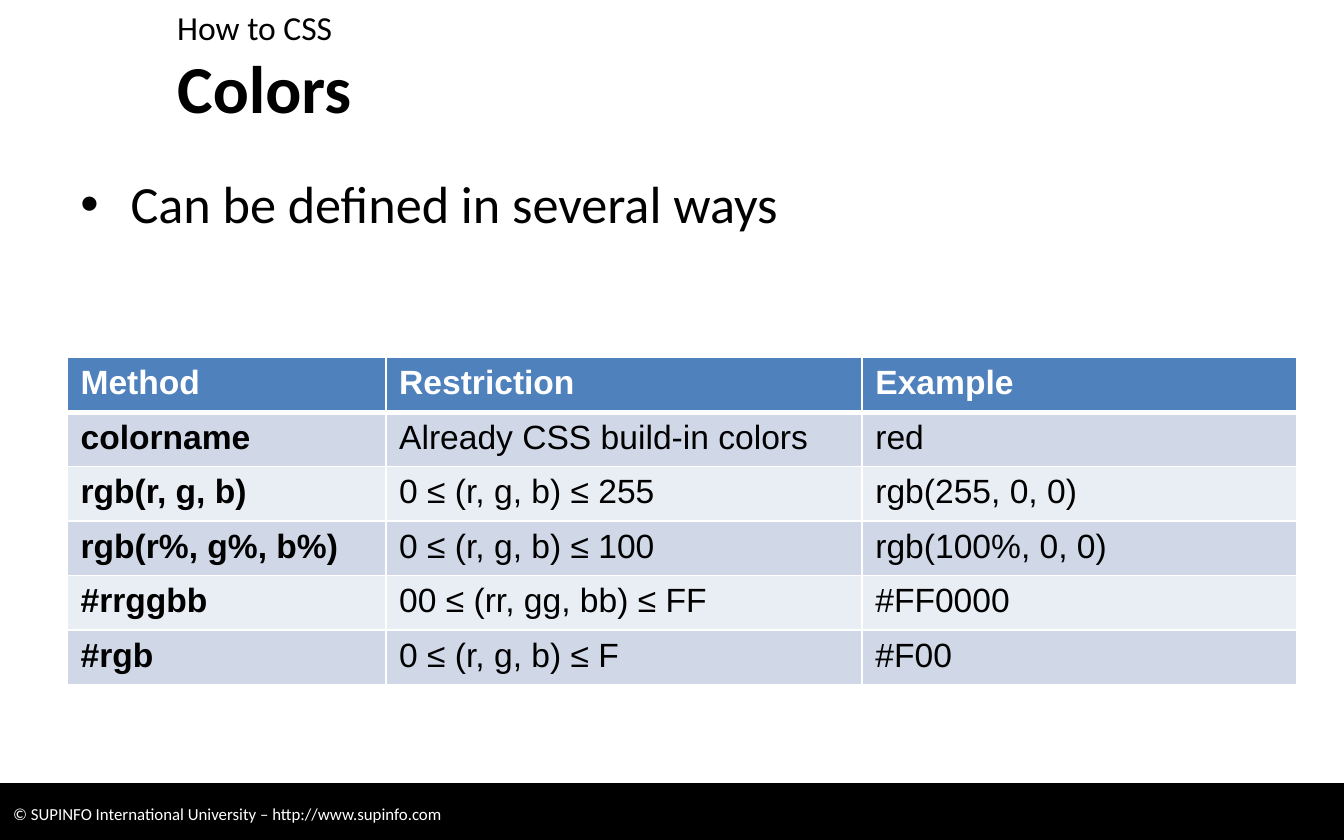
from lxml import etree
from pptx import Presentation
from pptx import util as u
from pptx.dml.color import RGBColor
from pptx.enum import shapes, text
from pptx.oxml import ns

BLACK = RGBColor(0x00, 0x00, 0x00)
WHITE = RGBColor(0xFF, 0xFF, 0xFF)
HEADER_BLUE = RGBColor(0x4F, 0x81, 0xBD)
BANDS = (RGBColor(0xD0, 0xD8, 0xE8), RGBColor(0xE9, 0xED, 0xF4))

COLUMN_WIDTHS = (6.02, 9.0, 8.21)
ROW_HEIGHT = 1.03
METHODS = (
    ("Method", "Restriction", "Example"),
    ("colorname", "Already CSS build-in colors", "red"),
    ("rgb(r, g, b)", "0 ≤ (r, g, b) ≤ 255", "rgb(255, 0, 0)"),
    ("rgb(r%, g%, b%)", "0 ≤ (r, g, b) ≤ 100", "rgb(100%, 0, 0)"),
    ("#rrggbb", "00 ≤ (rr, gg, bb) ≤ FF", "#FF0000"),
    ("#rgb", "0 ≤ (r, g, b) ≤ F", "#F00"),
)


def set_font(paragraph, size, color=BLACK, bold=False, name="Calibri"):
    font = paragraph.font
    font.name, font.size, font.bold = name, u.Pt(size), bold
    font.color.rgb = color


def add_bullet(paragraph, indent):
    properties = paragraph._p.get_or_add_pPr()
    properties.set("marL", str(indent))
    properties.set("indent", str(-indent))
    etree.SubElement(properties, ns.qn("a:buFont")).set("typeface", "Arial")
    etree.SubElement(properties, ns.qn("a:buChar")).set("char", "•")


def add_text(slide, wording, left, top, width, height, size, bold=False,
             anchor=text.MSO_ANCHOR.TOP, bullet_indent=None):
    frame = slide.shapes.add_textbox(
        u.Cm(left), u.Cm(top), u.Cm(width), u.Cm(height)).text_frame
    frame.word_wrap = True
    frame.vertical_anchor = anchor
    paragraph = frame.paragraphs[0]
    paragraph.text = wording
    if bullet_indent:
        add_bullet(paragraph, u.Cm(bullet_indent))
    set_font(paragraph, size, bold=bold)


def add_footer(slide, wording):
    footer = slide.shapes.add_shape(
        shapes.MSO_SHAPE.RECTANGLE, 0, u.Cm(14.81), u.Cm(25.4), u.Cm(1.14))
    footer.shadow.inherit = False
    footer.fill.solid()
    footer.fill.fore_color.rgb = BLACK
    footer.line.color.rgb = BLACK
    footer.line.width = u.Pt(0.75)
    frame = footer.text_frame
    frame.vertical_anchor = text.MSO_ANCHOR.MIDDLE
    paragraph = frame.paragraphs[0]
    paragraph.text = wording
    paragraph.alignment = text.PP_ALIGN.LEFT
    set_font(paragraph, 9, WHITE)


def set_borders(cell, **widths):
    properties = cell._tc.get_or_add_tcPr()
    for position, side in enumerate("LRTB"):
        line = etree.Element(ns.qn(f"a:ln{side}"), w=str(u.Pt(widths.get(side, 1))))
        fill = etree.SubElement(line, ns.qn("a:solidFill"))
        etree.SubElement(fill, ns.qn("a:srgbClr")).set("val", str(WHITE))
        properties.insert(position, line)


def add_methods_table(slide, left, top):
    table = slide.shapes.add_table(
        len(METHODS), len(COLUMN_WIDTHS), u.Cm(left), u.Cm(top),
        u.Cm(sum(COLUMN_WIDTHS)), u.Cm(ROW_HEIGHT * len(METHODS))).table
    for column, width in zip(table.columns, COLUMN_WIDTHS):
        column.width = u.Cm(width)
    for r, entries in enumerate(METHODS):
        table.rows[r].height = u.Cm(ROW_HEIGHT)
        is_header = r == 0
        for c, entry in enumerate(entries):
            cell = table.cell(r, c)
            cell.text = entry
            cell.fill.solid()
            cell.fill.fore_color.rgb = HEADER_BLUE if is_header else BANDS[(r - 1) % 2]
            set_borders(cell, T=3 if r == 1 else 1, B=3 if is_header else 1)
            set_font(cell.text_frame.paragraphs[0], 18, WHITE if is_header else BLACK,
                     is_header or c == 0, "Arial")


def main():
    presentation = Presentation()
    presentation.slide_width = u.Cm(25.4)
    presentation.slide_height = u.Cm(15.88)
    slide = presentation.slides.add_slide(presentation.slide_layouts[6])

    add_footer(slide, "© SUPINFO International University – http://www.supinfo.com")
    add_text(slide, "Colors", 3.1, 0.94, 21.62, 1.4, 36, bold=True,
             anchor=text.MSO_ANCHOR.MIDDLE)
    add_text(slide, "How to CSS", 3.1, 0, 21.62, 0.94, 18)
    add_text(slide, "Can be defined in several ways", 1.27, 3.12, 23.44, 11.76, 28,
             bullet_indent=0.95)
    add_methods_table(slide, 1.27, 6.76)

    presentation.save("out.pptx")


if __name__ == "__main__":
    main()
